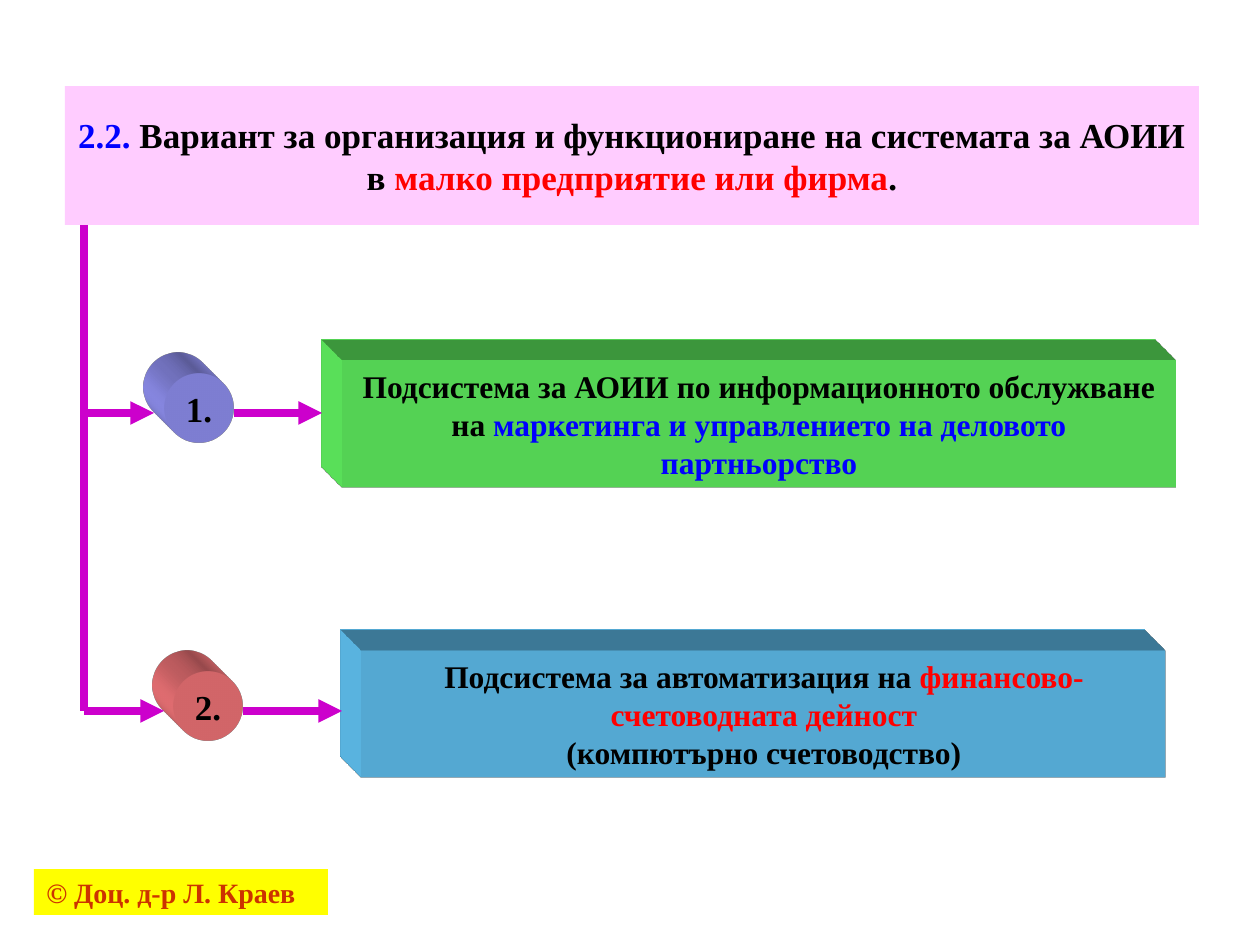
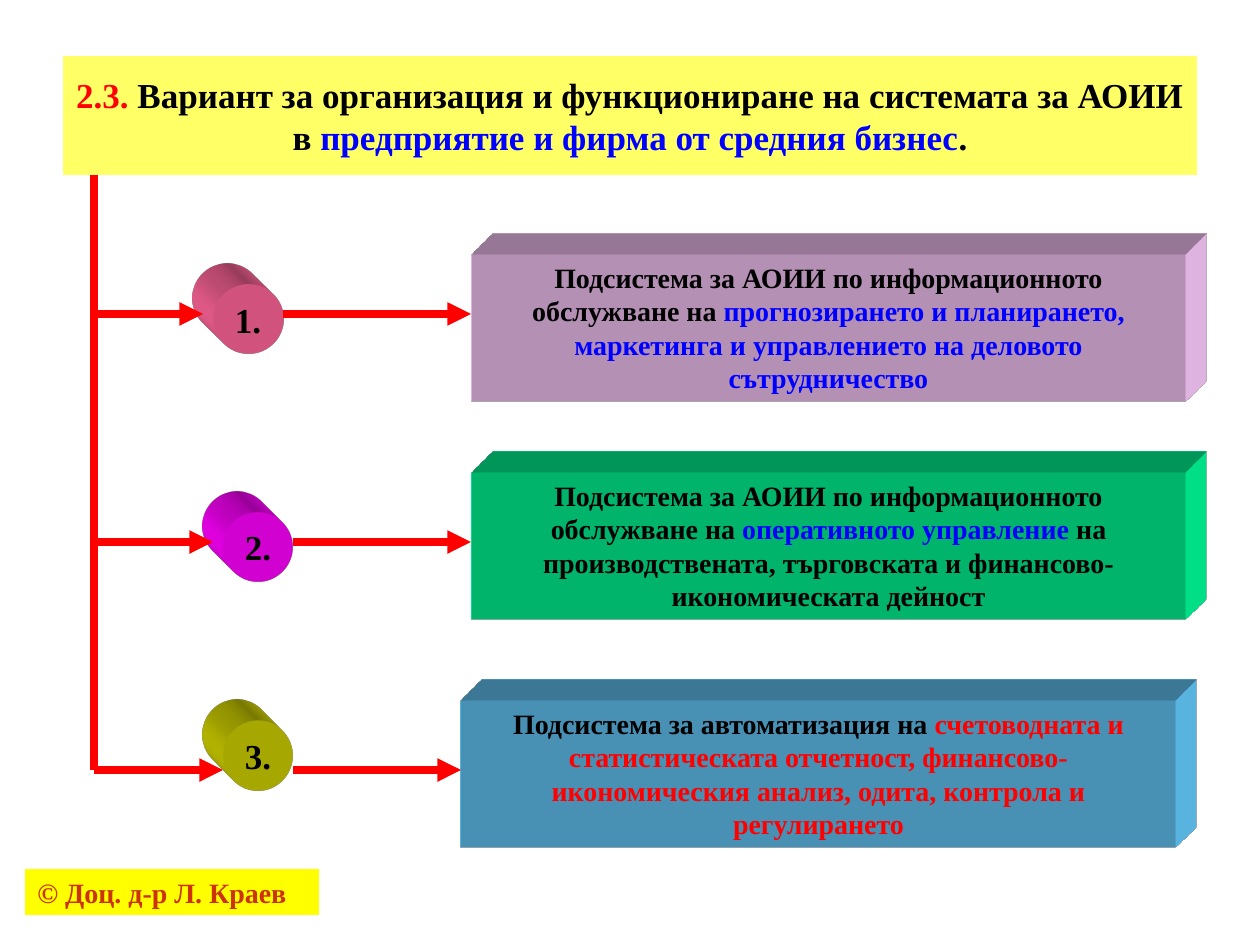
"""Builds two slides on subsystem variants for small and medium enterprises."""
from dataclasses import dataclass

from lxml import etree
from pptx import Presentation
from pptx.dml.color import RGBColor
from pptx.enum.shapes import MSO_CONNECTOR, MSO_SHAPE
from pptx.enum.text import MSO_ANCHOR, MSO_AUTO_SIZE, PP_ALIGN
from pptx.oxml import parse_xml
from pptx.oxml.ns import nsdecls, qn
from pptx.util import Emu, Pt

RECTANGLE, OVAL = MSO_SHAPE.RECTANGLE, MSO_SHAPE.OVAL
STRAIGHT = MSO_CONNECTOR.STRAIGHT
LEFT, CENTER = PP_ALIGN.LEFT, PP_ALIGN.CENTER
TOP, MIDDLE = MSO_ANCHOR.TOP, MSO_ANCHOR.MIDDLE
NO_AUTOFIT = MSO_AUTO_SIZE.NONE

PX_PER_INCH = 126
SLIDE_WIDTH, SLIDE_HEIGHT = 1260, 945
TITLE_ONLY = 5
BADGE_SIZE = 70
EXTRUSION_EMU = 430200
TOP_LEFT, TOP_RIGHT = "legacyObliqueTopLeft", "legacyObliqueTopRight"


@dataclass(frozen=True)
class Theme:
    font: str = "Times New Roman"
    black: str = "000000"
    blue: str = "0000FF"
    red: str = "FF0000"
    magenta: str = "CC00CC"
    pink: str = "FFCCFF"
    pale_yellow: str = "FFFF66"
    sky: str = "66CCFF"
    green: str = "66FF66"
    mint: str = "00FF99"
    periwinkle: str = "9999FF"
    coral: str = "FF7C80"
    rose: str = "FF6699"
    fuchsia: str = "FF00FF"
    olive: str = "CCCC00"
    author_fill: str = "FFFF00"
    author_text: str = "CC3300"
    heading_size: int = 20
    author_size: int = 16
    line_width: float = 4.5


THEME = Theme()


@dataclass(frozen=True)
class Span:
    text: str
    color: str = THEME.black


@dataclass(frozen=True)
class Box:
    left: int
    top: int
    width: int
    height: int

    def emu(self) -> tuple:
        """Return the box as EMU lengths."""
        return tuple(px(n) for n in (self.left, self.top, self.width, self.height))


@dataclass(frozen=True)
class Subsystem:
    badge: Box
    badge_fill: str
    panel: Box
    panel_fill: str
    spans: tuple
    branch_y: int
    branch_end: int


@dataclass(frozen=True)
class Variant:
    title: Box
    title_fill: str
    title_spans: tuple
    author_left: int
    trunk_x: int
    line_color: str
    text_size: int
    camera: str
    panel_gap: int
    subsystems: tuple


def px(length: int) -> Emu:
    """Convert px to EMU."""
    return Emu(round(length * 914400 / PX_PER_INCH))


def badge_box(left: int, top: int) -> Box:
    """Return the square that holds a number."""
    return Box(left, top, BADGE_SIZE, BADGE_SIZE)


def heading(number: str, number_color: str, subject: str, subject_color: str) -> tuple:
    """Return the spans of a variant title."""
    return (
        Span(number, number_color),
        Span(" Вариант за организация и функциониране на системата за АОИИ в "),
        Span(subject, subject_color),
        Span("."),
    )


def paint(shape, color: str) -> None:
    """Give a shape a solid fill without outline."""
    shape.fill.solid()
    shape.fill.fore_color.rgb = RGBColor.from_string(color)
    shape.line.fill.background()


def write(shape, spans: tuple, size: int, anchor=MIDDLE, align=CENTER, wrap: bool = True) -> None:
    """Write coloured bold spans as one paragraph."""
    frame = shape.text_frame
    frame.auto_size = NO_AUTOFIT
    frame.word_wrap = wrap
    frame.vertical_anchor = anchor
    paragraph = frame.paragraphs[0]
    paragraph.alignment = align
    for span in spans:
        for index, line in enumerate(span.text.split("\n")):
            if index:
                paragraph.add_line_break()
            if line:
                run = paragraph.add_run()
                run.text = line
                run.font.name = THEME.font
                run.font.size = Pt(size)
                run.font.bold = True
                run.font.color.rgb = RGBColor.from_string(span.color)


def add_block(slide, kind, box: Box, color: str):
    """Add a plain filled shape."""
    block = slide.shapes.add_shape(kind, *box.emu())
    paint(block, color)
    block.shadow.inherit = False
    return block


def extrude(shape, color: str, camera: str) -> None:
    """Give a shape oblique depth."""
    properties = shape._element.spPr
    properties.append(parse_xml(
        f'<a:scene3d {nsdecls("a")}><a:camera prst="{camera}"/>'
        '<a:lightRig rig="legacyFlat3" dir="b"/></a:scene3d>'))
    properties.append(parse_xml(
        f'<a:sp3d {nsdecls("a")} extrusionH="{EXTRUSION_EMU}" prstMaterial="legacyMatte">'
        '<a:bevelT w="13500" h="13500" prst="angle"/><a:bevelB w="13500" h="13500" prst="angle"/>'
        f'<a:extrusionClr><a:srgbClr val="{color}"/></a:extrusionClr></a:sp3d>'))


def add_line(slide, color: str, start: tuple, end: tuple, arrow: bool = True) -> None:
    """Draw a thick line, with an arrowhead unless told otherwise."""
    connector = slide.shapes.add_connector(STRAIGHT, *(px(n) for n in start + end))
    connector.line.color.rgb = RGBColor.from_string(color)
    connector.line.width = Pt(THEME.line_width)
    if arrow:
        etree.SubElement(connector.line._get_or_add_ln(), qn("a:tailEnd"), type="triangle")
    etree.SubElement(connector._element.spPr, qn("a:effectLst"))


def add_subsystem(slide, variant: Variant, number: int, subsystem: Subsystem) -> None:
    """Draw a numbered subsystem with its two arrows."""
    panel = add_block(slide, RECTANGLE, subsystem.panel, subsystem.panel_fill)
    extrude(panel, subsystem.panel_fill, variant.camera)
    write(panel, subsystem.spans, variant.text_size, TOP)
    badge = add_block(slide, OVAL, subsystem.badge, subsystem.badge_fill)
    extrude(badge, subsystem.badge_fill, TOP_LEFT)
    write(badge, (Span(f"{number}."),), THEME.heading_size, wrap=False)
    y = subsystem.branch_y
    add_line(slide, variant.line_color, (variant.trunk_x, y), (subsystem.branch_end, y))
    add_line(slide, variant.line_color, (subsystem.badge.left + BADGE_SIZE, y),
             (subsystem.panel.left - variant.panel_gap, y))


def add_variant(deck, variant: Variant) -> None:
    """Add the slide of one variant."""
    slide = deck.slides.add_slide(deck.slide_layouts[TITLE_ONLY])
    title = slide.shapes.title
    title.left, title.top, title.width, title.height = variant.title.emu()
    paint(title, variant.title_fill)
    write(title, variant.title_spans, THEME.heading_size)
    author = add_block(slide, RECTANGLE, Box(variant.author_left, 869, 294, 46), THEME.author_fill)
    write(author, (Span("© Доц. д-р Л. Краев", THEME.author_text),), THEME.author_size, align=LEFT)
    add_line(slide, variant.line_color, (variant.trunk_x, variant.title.top + variant.title.height),
             (variant.trunk_x, variant.subsystems[-1].branch_y), arrow=False)
    for number, subsystem in enumerate(variant.subsystems, 1):
        add_subsystem(slide, variant, number, subsystem)


INFORMATION_SERVICE = Span("Подсистема за АОИИ по информационното обслужване на ")
AUTOMATION = Span("Подсистема за автоматизация на ")

SMALL_BUSINESS = Variant(
    Box(65, 86, 1134, 139), THEME.pink,
    heading("2.2.", THEME.blue, "малко предприятие или фирма", THEME.red),
    author_left=34, trunk_x=84, line_color=THEME.magenta, text_size=18,
    camera=TOP_LEFT, panel_gap=20,
    subsystems=(
        Subsystem(
            badge_box(164, 373), THEME.periwinkle, Box(342, 361, 834, 127), THEME.green,
            (INFORMATION_SERVICE,
             Span("маркетинга и управлението на деловото партньорство", THEME.blue)),
            branch_y=413, branch_end=154),
        Subsystem(
            badge_box(173, 671), THEME.coral, Box(362, 651, 804, 127), THEME.sky,
            (AUTOMATION, Span("финансово-счетоводната дейност\n", THEME.red),
             Span("(компютърно счетоводство)")),
            branch_y=711, branch_end=164),
    ),
)

MEDIUM_BUSINESS = Variant(
    Box(63, 56, 1134, 119), THEME.pale_yellow,
    heading("2.3.", THEME.red, "предприятие и фирма от средния бизнес", THEME.blue),
    author_left=25, trunk_x=94, line_color=THEME.red, text_size=16,
    camera=TOP_RIGHT, panel_gap=0,
    subsystems=(
        Subsystem(
            badge_box(213, 284), THEME.rose, Box(471, 254, 715, 148), THEME.pink,
            (INFORMATION_SERVICE,
             Span("прогнозирането и планирането, маркетинга и управлението "
                  "на деловото сътрудничество", THEME.blue)),
            branch_y=314, branch_end=203),
        Subsystem(
            badge_box(223, 512), THEME.fuchsia, Box(471, 472, 715, 148), THEME.mint,
            (INFORMATION_SERVICE, Span("оперативното управление", THEME.blue),
             Span(" на производствената, търговската и финансово-икономическата дейност")),
            branch_y=542, branch_end=213),
        Subsystem(
            badge_box(223, 721), THEME.olive, Box(461, 700, 715, 148), THEME.sky,
            (AUTOMATION,
             Span("счетоводната и статистическата отчетност, финансово-икономическия "
                  "анализ, одита, контрола и регулирането", THEME.red)),
            branch_y=770, branch_end=223),
    ),
)


def main() -> None:
    """Build and save the presentation."""
    deck = Presentation()
    deck.slide_width, deck.slide_height = px(SLIDE_WIDTH), px(SLIDE_HEIGHT)
    for variant in (SMALL_BUSINESS, MEDIUM_BUSINESS):
        add_variant(deck, variant)
    deck.save("out.pptx")


if __name__ == "__main__":
    main()
